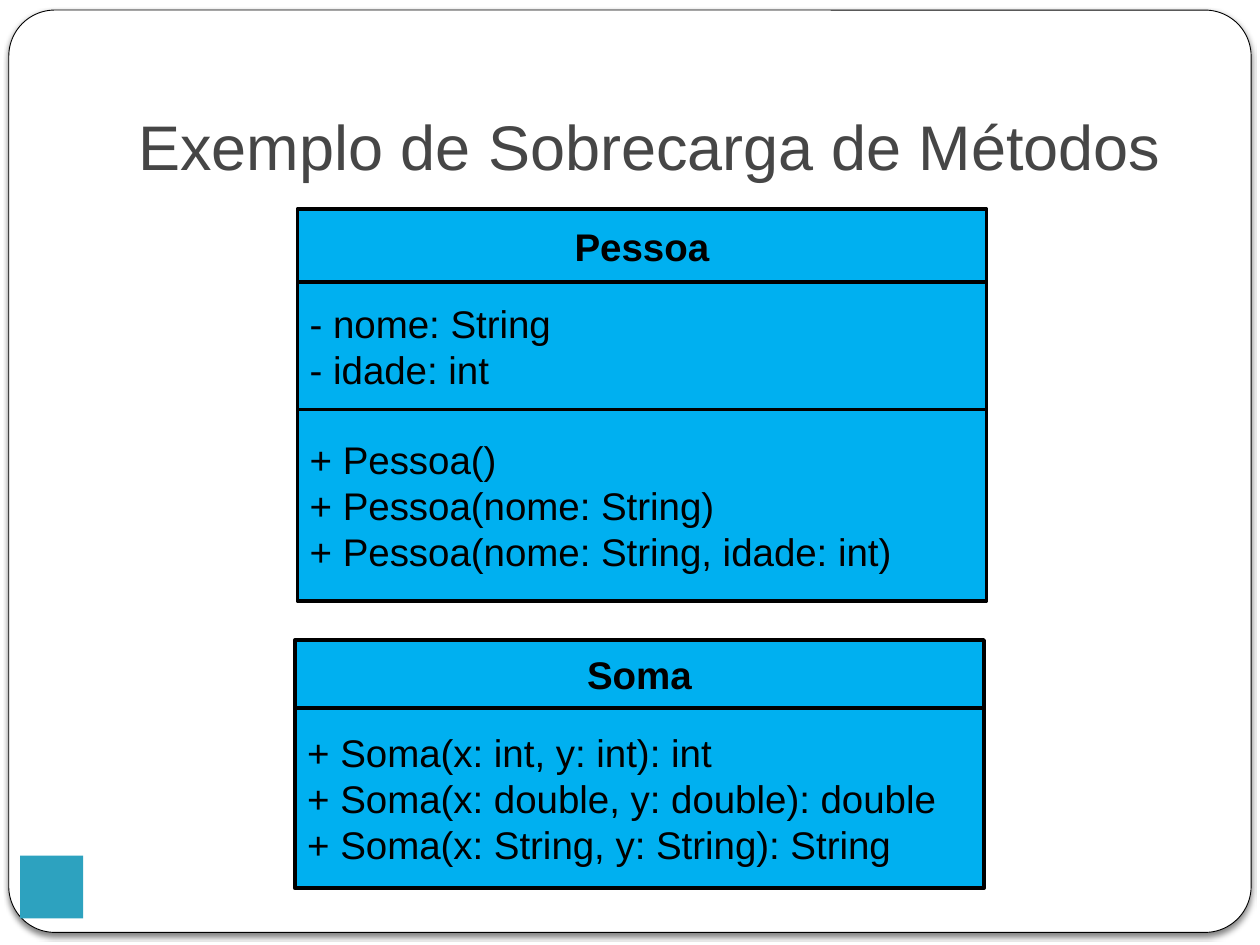
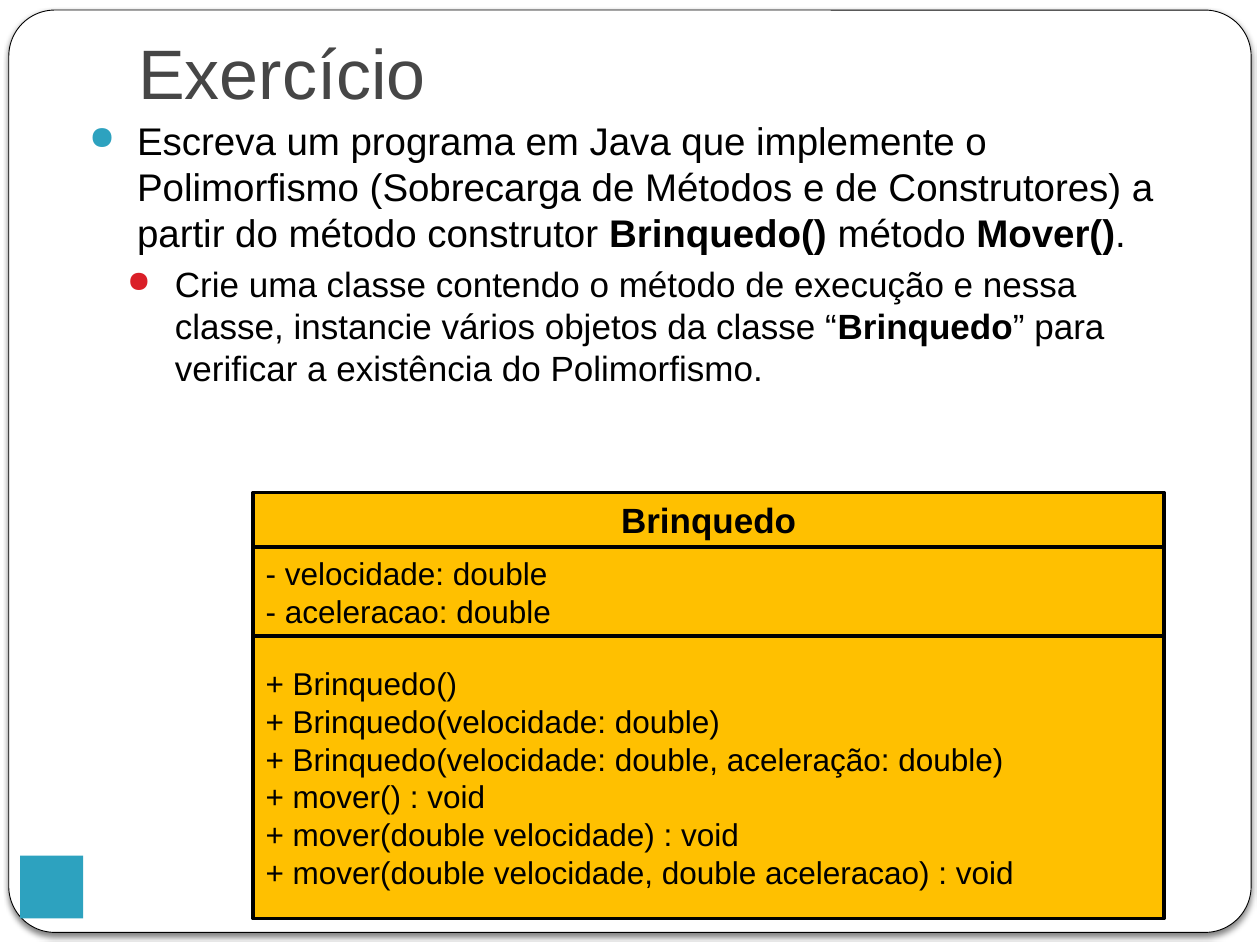
from lxml.etree import SubElement
from pptx import Presentation
from pptx.dml.color import RGBColor
from pptx.enum.shapes import MSO_SHAPE
from pptx.enum.text import MSO_ANCHOR, PP_ALIGN
from pptx.oxml.ns import qn
from pptx.util import Inches, Pt

FONT = "Arial"
BLACK = RGBColor(0x00, 0x00, 0x00)
WHITE = RGBColor(0xFF, 0xFF, 0xFF)
GREY = RGBColor(0x46, 0x46, 0x46)
TEAL = RGBColor(0x2D, 0xA2, 0xBF)
RED = RGBColor(0xDA, 0x1F, 0x28)
BLUE = RGBColor(0x00, 0xB0, 0xF0)
AMBER = RGBColor(0xFF, 0xC0, 0x00)


def style_run(r, size, color=BLACK, bold=False):
    """Apply the deck's typeface to a run."""
    r.font.name = FONT
    r.font.size = Pt(size)
    r.font.color.rgb = color
    r.font.bold = bold


def add_box(s, kind, box, fill, line_width=0):
    """Add a filled preset shape, outlined in black if a width is given."""
    sp = s.shapes.add_shape(kind, *map(Inches, box))
    sp.shadow.inherit = False
    sp.fill.solid()
    sp.fill.fore_color.rgb = fill
    if line_width:
        sp.line.color.rgb = BLACK
        sp.line.width = Pt(line_width)
    else:
        sp.line.fill.background()
    return sp


def add_shadow(sp):
    """Give a shape a soft black shadow falling downwards."""
    effects = sp._element.spPr.find(qn("a:effectLst"))
    shadow = SubElement(effects, qn("a:outerShdw"), blurRad=str(Pt(3)),
                        dist=str(Pt(2)), dir="5400000", rotWithShape="0")
    color = SubElement(shadow, qn("a:srgbClr"), val=str(BLACK))
    SubElement(color, qn("a:alpha"), val="50000")


def add_text_frame(s, box):
    """Add a wrapping text box and return its text frame."""
    tf = s.shapes.add_textbox(*map(Inches, box)).text_frame
    tf.word_wrap = True
    return tf


def add_page(prs, title, size, height):
    """Add a slide with the rounded frame, corner square and title."""
    s = prs.slides.add_slide(prs.slide_layouts[6])
    frame = add_box(s, MSO_SHAPE.ROUNDED_RECTANGLE, (0.07, 0.08, 9.86, 7.32), WHITE, 0.5)
    frame.adjustments[0] = 0.05
    add_shadow(frame)
    tf = add_text_frame(s, (1, 0.3, 8.5, height))
    tf.margin_bottom = Inches(0.1)
    tf.vertical_anchor = MSO_ANCHOR.BOTTOM
    tf.text = title
    style_run(tf.paragraphs[0].runs[0], size, GREY)
    add_box(s, MSO_SHAPE.RECTANGLE, (0.16, 6.79, 0.5, 0.5), TEAL)
    return s


def add_class(s, left, top, width, fill, name_size, size, compartments):
    """Stack the compartments of a class diagram, the name first."""
    for i, (height, lines) in enumerate(compartments):
        sp = add_box(s, MSO_SHAPE.RECTANGLE, (left, top, width, height), fill, 2)
        tf = sp.text_frame
        tf.vertical_anchor = MSO_ANCHOR.MIDDLE
        tf.text = "\n".join(lines)
        for p in tf.paragraphs:
            p.alignment = PP_ALIGN.LEFT if i else PP_ALIGN.CENTER
            style_run(p.runs[0], size if i else name_size, bold=not i)
        top += height


def add_bullet(p, level, indent, color, size, before, parts):
    """Fill a bulleted paragraph, with every second part in bold."""
    p.level = level
    p.space_before = Pt(before)
    pPr = p._p.get_or_add_pPr()
    pPr.set("marL", str(Inches(indent)))
    pPr.set("indent", str(Inches(-0.38)))
    SubElement(SubElement(pPr, qn("a:buClr")), qn("a:srgbClr"), val=str(color))
    SubElement(pPr, qn("a:buSzPct"), val="85000")
    SubElement(pPr, qn("a:buChar"), char="●")
    for i, part in enumerate(parts):
        r = p.add_run()
        r.text = part
        style_run(r, size, bold=i % 2 == 1)


def build_example(prs):
    """Build the slide with the two overloading examples."""
    s = add_page(prs, "Exemplo de Sobrecarga de Métodos", 36, 1.25)
    add_class(s, 2.34, 5.08, 5.47, BLUE, 22, 22, [
        (0.54, ["Soma"]),
        (1.43, ["+ Soma(x: int, y: int): int",
                "+ Soma(x: double, y: double): double",
                "+ Soma(x: String, y: String): String"]),
    ])
    add_class(s, 2.36, 1.66, 5.47, BLUE, 22, 22, [
        (0.58, ["Pessoa"]),
        (1.01, ["- nome: String", "- idade: int"]),
        (1.52, ["+ Pessoa()",
                "+ Pessoa(nome: String)",
                "+ Pessoa(nome: String, idade: int)"]),
    ])


def build_exercise(prs):
    """Build the slide with the exercise and its class."""
    s = add_page(prs, "Exercício", 40, 0.7)
    tf = add_text_frame(s, (0.5, 0.88, 8.83, 5.69))
    add_bullet(tf.paragraphs[0], 0, 0.49, TEAL, 22, 5.8, [
        "Escreva um programa em Java que implemente o Polimorfismo "
        "(Sobrecarga de Métodos e de Construtores) a partir do método construtor ",
        "Brinquedo()", " método ", "Mover()", "."])
    add_bullet(tf.add_paragraph(), 1, 0.79, RED, 20, 3.8, [
        "Crie uma classe contendo o método de execução e nessa classe, "
        "instancie vários objetos da classe “",
        "Brinquedo", "” para verificar a existência do Polimorfismo."])
    add_class(s, 2.01, 3.91, 7.23, AMBER, 20, 18, [
        (0.43, ["Brinquedo"]),
        (0.71, ["- velocidade: double", "- aceleracao: double"]),
        (2.24, ["+ Brinquedo()",
                "+ Brinquedo(velocidade: double)",
                "+ Brinquedo(velocidade: double, aceleração: double)",
                "+ mover() : void",
                "+ mover(double velocidade) : void",
                "+ mover(double velocidade, double aceleracao) : void"]),
    ])


def main():
    """Build and save the presentation."""
    prs = Presentation()
    prs.slide_width, prs.slide_height = Inches(10), Inches(7.5)
    build_example(prs)
    build_exercise(prs)
    prs.save("out.pptx")


if __name__ == "__main__":
    main()
